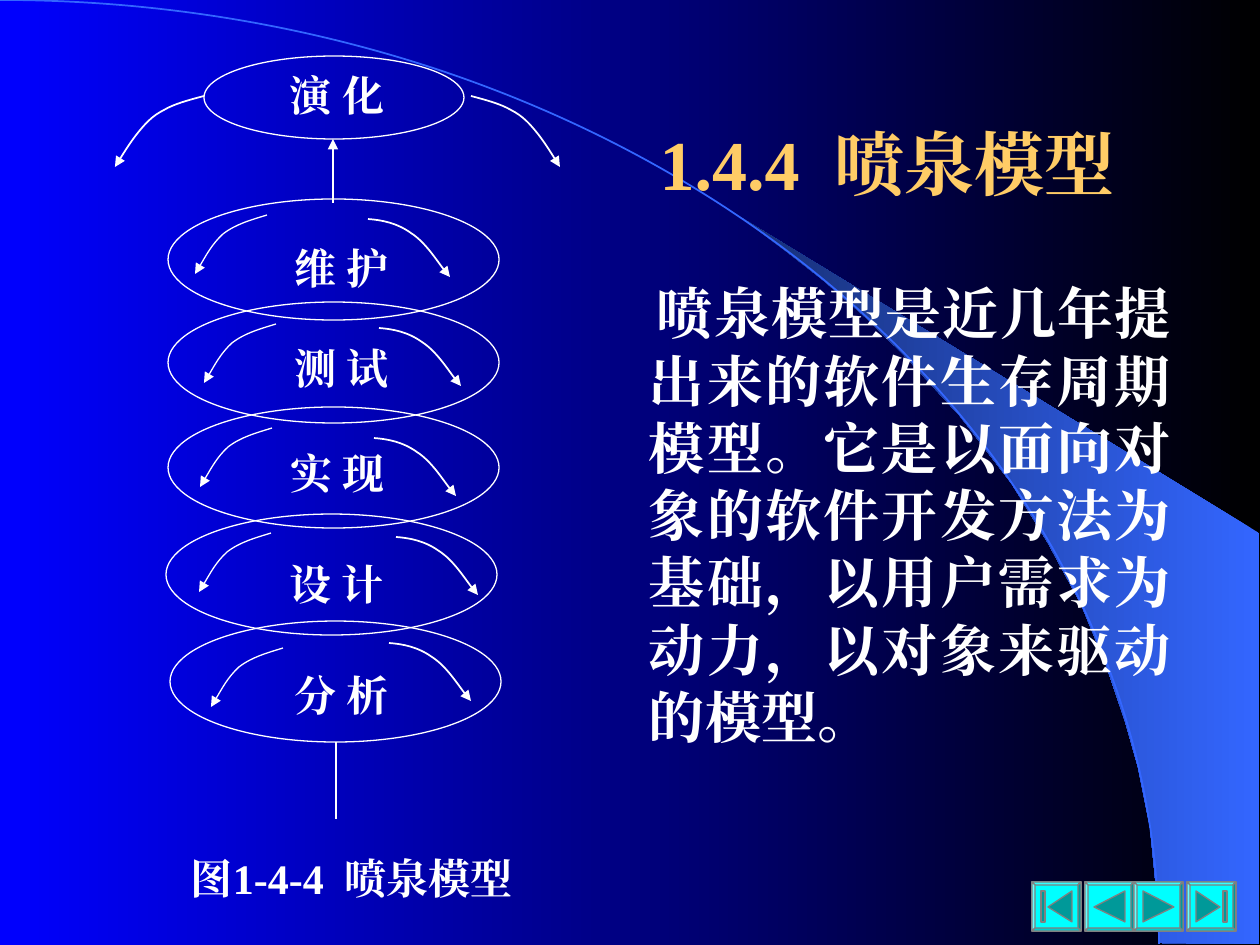
from lxml.etree import SubElement
from pptx import Presentation
from pptx.dml.color import RGBColor
from pptx.enum.shapes import MSO_CONNECTOR as Connector, MSO_SHAPE as Shape
from pptx.enum.text import MSO_ANCHOR as Anchor, PP_ALIGN as Align
from pptx.oxml.ns import qn
from pptx.util import Emu, Pt

SCALE = 914400 / 126
WHITE = "FFFFFF"


def px(length):
    return Emu(round(length * SCALE))


def color(code):
    return RGBColor.from_string(code)


def shifted(start, *curves):
    x, y = start
    return [[start]] + [[(x + dx, y + dy) for dx, dy in curve] for curve in curves]


def mirrored(curves):
    return [[(-dx, dy) for dx, dy in curve] for curve in curves]


def polygon(*points):
    return [[point] for point in points]


class Painter:
    """Draws styled elements, measured in px, on the current slide."""

    font = "Times New Roman"

    def __init__(self, slide):
        self.slide = slide
        self.shapes = slide.shapes

    def gradient(self, fill, start, end):
        fill.gradient()
        fill.gradient_angle = 180
        for stop, position, code in zip(fill.gradient_stops, (0, 1), (start, end)):
            stop.position = position
            stop.color.rgb = color(code)

    def stroke(self, line, code, width, arrow=None):
        line.color.rgb = color(code)
        line.width = Pt(width)
        if arrow:
            SubElement(line._get_or_add_ln(), qn(f"a:{arrow}"), type="triangle")

    def text(self, words, box, size, code=WHITE, align=Align.LEFT,
             anchor=Anchor.TOP, inset=(0, 0), indent=None):
        frame = self.shapes.add_textbox(*map(px, box)).text_frame
        frame.word_wrap = True
        frame.vertical_anchor = anchor
        frame.margin_left = frame.margin_right = px(inset[0])
        frame.margin_top = frame.margin_bottom = px(inset[1])
        frame.text = words
        paragraph = frame.paragraphs[0]
        paragraph.alignment = align
        if indent:
            properties = paragraph._p.get_or_add_pPr()
            properties.set("marL", str(px(indent[0])))
            properties.set("indent", str(px(indent[1])))
        for run in paragraph.runs:
            run.font.size = Pt(size)
            run.font.bold = True
            run.font.name = self.font
            run.font.color.rgb = color(code)
            SubElement(run._r.get_or_add_rPr(), qn("a:ea"), typeface=self.font)

    def ellipse(self, left, top, width, height):
        oval = self.shapes.add_shape(Shape.OVAL, *map(px, (left, top, width, height)))
        oval.shadow.inherit = False
        oval.fill.background()
        self.stroke(oval.line, WHITE, 0.75)

    def line(self, start, end, arrow=None):
        link = self.shapes.add_connector(Connector.STRAIGHT, *map(px, start + end))
        self.stroke(link.line, WHITE, 0.75, arrow)
        SubElement(link._element.spPr, qn("a:effectLst"))

    def outline(self, paths, closed=True):
        points = [p for _, segments in paths for segment in segments for p in segment]
        xs, ys = zip(*points)
        left, top, right, bottom = min(xs), min(ys), max(xs), max(ys)
        builder = self.shapes.build_freeform(left, top, scale=SCALE)
        builder.add_line_segments([(right, top), (right, bottom), (left, bottom)])
        form = builder.convert_to_shape()
        form.shadow.inherit = False
        path_list = form._element.spPr.find(".//" + qn("a:pathLst"))
        path_list.clear()
        for mode, segments in paths:
            path = SubElement(path_list, qn("a:path"), w=str(px(right - left)),
                              h=str(px(bottom - top)), fill=mode)
            for order, segment in enumerate(segments):
                tag = "moveTo" if order == 0 else "lnTo" if len(segment) == 1 else "cubicBezTo"
                step = SubElement(path, qn(f"a:{tag}"))
                for x, y in segment:
                    SubElement(step, qn("a:pt"), x=str(px(x - left)), y=str(px(y - top)))
            if closed:
                SubElement(path, qn("a:close"))
        return form

    def curve(self, segments, code=WHITE, width=1, arrow="tailEnd"):
        form = self.outline([("none", segments)], closed=False)
        form.fill.background()
        self.stroke(form.line, code, width, arrow)

    def button(self, left, top, icons, side=49, bevel=3):
        inner = side - bevel
        outer_corners = [(0, 0), (side, 0), (side, side), (0, side)]
        inner_corners = [(bevel, bevel), (inner, bevel), (inner, inner), (bevel, inner)]
        faces = [("norm", outer_corners)]
        for edge, mode in enumerate(("lightenLess", "darken", "darkenLess", "lighten")):
            following = (edge + 1) % 4
            faces.append((mode, [outer_corners[edge], outer_corners[following],
                                 inner_corners[following], inner_corners[edge]]))
        faces += [("darken", icon) for icon in icons]
        form = self.outline([(mode, polygon(*((left + x, top + y) for x, y in points)))
                             for mode, points in faces])
        form.fill.solid()
        form.fill.fore_color.rgb = color("00FFFF")
        self.stroke(form.line, "808080", 0.75)


STAGES = [
    ("维 护", (168, 199), (255, 226, 173), (267, 215), (368, 219)),
    ("测 试", (168, 302), (255, 326, 173), (276, 324), (379, 328)),
    ("实 现", (168, 407), (251, 431, 173), (272, 428), (374, 438)),
    ("设 计", (166, 514), (266, 542, 141), (271, 533), (396, 537)),
    ("分 析", (170, 621), (255, 653, 173), (283, 648), (389, 643)),
]
LEFT_JET = [[(-16, 5), (-31, 9), (-44, 19)], [(-55, 29), (-67, 51), (-72, 59)]]
RIGHT_JET = [[(14, 1), (29, 4), (43, 14)], [(57, 23), (76, 52), (82, 58)]]
TOP_JET = [[(15, 4), (30, 8), (40, 14)], [(52, 20), (59, 28), (67, 38)],
           [(74, 47), (86, 66), (89, 71)]]
BUTTONS = [
    (1032, [[(16, 25), (40, 9), (40, 40)], [(9, 9), (13, 9), (13, 40), (9, 40)]]),
    (1085, [[(9, 25), (40, 9), (40, 40)]]),
    (1134, [[(9, 9), (40, 25), (9, 40)]]),
    (1187, [[(33, 25), (9, 40), (9, 9)], [(36, 9), (36, 40), (40, 40), (40, 9)]]),
]
SWOOSH = [(1159, 943), (1259, 944), (1259, 533), (742, 218), (786, 251), (823, 280),
          (863, 315), (902, 353), (960, 416), (1012, 484), (1048, 543), (1081, 604),
          (1106, 665), (1125, 721), (1138, 767), (1150, 827), (1155, 877)]


def main():
    deck = Presentation()
    deck.slide_width, deck.slide_height = px(1260), px(945)
    painter = Painter(deck.slides.add_slide(deck.slide_layouts[6]))
    painter.gradient(painter.slide.background.fill, "000000", "0000FF")

    swoosh = painter.outline([("norm", polygon(*SWOOSH))])
    painter.gradient(swoosh.fill, "3366FF", "172F75")
    swoosh.line.fill.background()
    painter.curve([[(0, 0)], [(640, 0), (1159, 422), (1159, 944)]], "3366FF", arrow=None)

    painter.text("1.4.4  喷泉模型", (630, 84, 514, 158), 40, "FFCC66",
                 Align.CENTER, Anchor.MIDDLE, (13, 6))
    painter.text("喷泉模型是近几年提出来的软件生存周期模型。它是以面向对象的软件开发方法为基础，"
                 "以用户需求为动力，以对象来驱动的模型。", (588, 273, 596, 567), 32,
                 align=Align.JUSTIFY, inset=(13, 6), indent=(48, 8))
    for left, icons in BUTTONS:
        painter.button(left, 882, icons)

    painter.line((333, 203), (333, 139), "tailEnd")
    for name, corner, (left, top, width), left_start, right_start in STAGES:
        painter.ellipse(*corner, 331, 121)
        painter.text(name, (left, top, width, 83), 24, align=Align.CENTER, anchor=Anchor.MIDDLE)
        painter.curve(shifted(right_start, *RIGHT_JET))
        painter.curve(shifted(left_start, *LEFT_JET), width=0.75)
    painter.ellipse(204, 56, 260, 83)
    painter.text("演 化", (244, 53, 186, 83), 24, align=Align.CENTER, anchor=Anchor.MIDDLE)
    painter.curve(shifted((471, 96), *TOP_JET))
    painter.curve(shifted((204, 96), *mirrored(TOP_JET)))
    painter.line((336, 742), (336, 819))
    painter.text("图1-4-4  喷泉模型", (191, 852, 363, 67), 24)
    deck.save("out.pptx")


if __name__ == "__main__":
    main()
